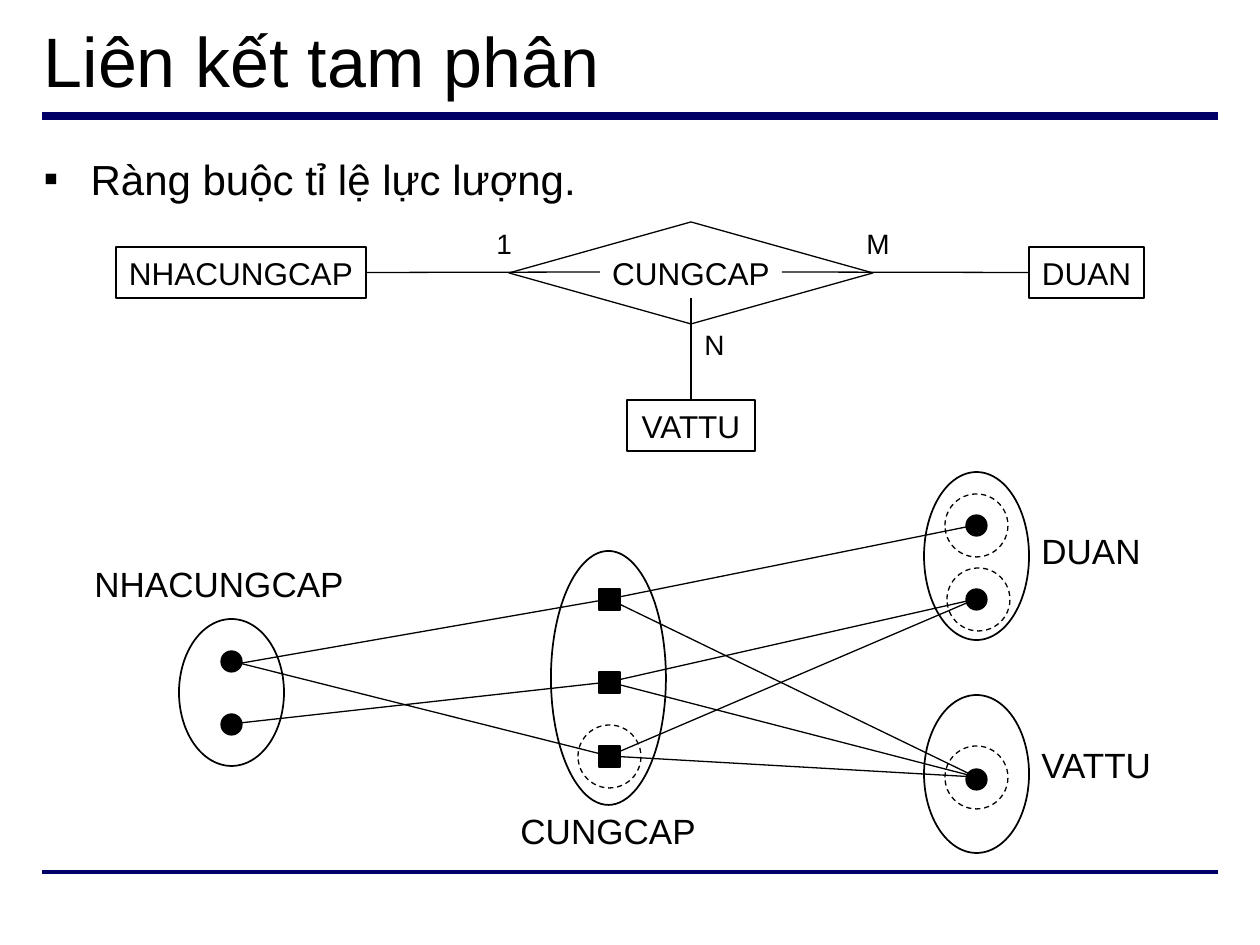
from typing import NamedTuple, Optional

import pptx
import pptx.dml.color
import pptx.enum.dml
import pptx.enum.shapes
import pptx.enum.text
import pptx.oxml
import pptx.oxml.ns
import pptx.util

EMU_PER_PX = 914400 / 126
FONT = "Arial"
BLACK, WHITE, NAVY = "000000", "FFFFFF", "000066"
SHAPE = pptx.enum.shapes.MSO_SHAPE
ALIGN = pptx.enum.text.PP_ALIGN
ANCHOR = pptx.enum.text.MSO_ANCHOR
FIT = pptx.enum.text.MSO_AUTO_SIZE


class Area(NamedTuple):
    left: int
    top: int
    width: int
    height: int


class Point(NamedTuple):
    x: int
    y: int


class Entity(NamedTuple):
    name: str
    area: Area
    line_start: Point
    side: int  # connection site of the box


class EntitySet(NamedTuple):
    name: str
    oval: Area
    label: Area
    marker: int
    members: list[Point]


def px(value: int) -> int:
    return round(value * EMU_PER_PX)


def color(value: str) -> pptx.dml.color.RGBColor:
    return pptx.dml.color.RGBColor.from_string(value)


def around(center: Point, size: int) -> Area:
    return Area(center.x - size // 2, center.y - size // 2, size, size)


def write(shape, text: str, size: int, align=ALIGN.LEFT, anchor=ANCHOR.TOP,
          wrap: bool = False, fit=FIT.NONE):
    frame = shape.text_frame
    frame.word_wrap = wrap
    frame.auto_size = fit
    frame.vertical_anchor = anchor
    para = frame.paragraphs[0]
    para.alignment = align
    para.space_before = pptx.util.Pt(0)
    span = para.add_run()
    span.text = text
    span.font.name = FONT
    span.font.size = pptx.util.Pt(size)
    span.font.color.rgb = color(BLACK)
    return para


def add_outline(page, kind: int, area: Area, fill: Optional[str] = None,
                weight: float = 0.75, dashed: bool = False):
    shape = page.shapes.add_shape(kind, *map(px, area))
    shape.shadow.inherit = False
    if fill:
        shape.fill.solid()
        shape.fill.fore_color.rgb = color(fill)
    else:
        shape.fill.background()
    shape.line.color.rgb = color(BLACK)
    shape.line.width = pptx.util.Pt(weight)
    if dashed:
        shape.line.dash_style = pptx.enum.dml.MSO_LINE.DASH
    return shape


def add_line(page, start: Point, end: Point, hue: str = BLACK, weight: float = 0.75):
    line = page.shapes.add_connector(
        pptx.enum.shapes.MSO_CONNECTOR.STRAIGHT, *map(px, (*start, *end)))
    line.line.color.rgb = color(hue)
    line.line.width = pptx.util.Pt(weight)
    properties = line._element.spPr
    properties.append(pptx.oxml.parse_xml(
        f'<a:effectLst {pptx.oxml.ns.nsdecls("a")}/>'))
    return line


def add_label(page, text: str, area: Area, size: int, **layout) -> None:
    box = page.shapes.add_textbox(*map(px, area))
    write(box, text, size, fit=FIT.SHAPE_TO_FIT_TEXT, **layout)


def place(shape, area: Area) -> None:
    shape.left, shape.top, shape.width, shape.height = map(px, area)


def add_bullet(para, indent: int) -> None:
    properties = para._p.get_or_add_pPr()
    properties.set("marL", str(px(indent)))
    properties.set("indent", str(-px(indent)))
    names = pptx.oxml.ns.nsdecls("a")
    for xml in (f'<a:buClr {names}><a:srgbClr val="{BLACK}"/></a:buClr>',
                f'<a:buFont {names} typeface="{FONT}"/>',
                f'<a:buChar {names} char="▪"/>'):
        properties.append(pptx.oxml.parse_xml(xml))


# Entities of the diagram, each joined to the relationship
ENTITIES = [
    Entity("NHACUNGCAP", Area(116, 247, 250, 51), Point(600, 272), 3),
    Entity("DUAN", Area(1029, 247, 115, 51), Point(782, 272), 1),
    Entity("VATTU", Area(627, 400, 128, 51), Point(691, 298), 0),
]
CARDINALITIES = [
    ("1", Area(484, 220, 40, 46)),
    ("M", Area(854, 220, 48, 46)),
    ("N", Area(692, 321, 45, 46)),
]

# Members of the entity sets and of the relationship set
SUPPLIERS = [Point(231, 661), Point(231, 724)]
SUPPLIES = [Point(609, 599), Point(609, 682), Point(609, 756)]
PROJECTS = [Point(976, 525), Point(976, 599)]
PART = Point(976, 779)
SETS = [
    EntitySet("NHACUNGCAP", Area(179, 619, 105, 147), Area(82, 556, 278, 55),
              SHAPE.OVAL, SUPPLIERS),
    EntitySet("VATTU", Area(924, 695, 105, 158), Area(1029, 737, 140, 55),
              SHAPE.OVAL, [PART]),
    EntitySet("DUAN", Area(924, 472, 105, 168), Area(1029, 523, 126, 55),
              SHAPE.OVAL, PROJECTS),
    EntitySet("CUNGCAP", Area(551, 551, 115, 254), Area(508, 803, 206, 55),
              SHAPE.RECTANGLE, SUPPLIES),
]
# Supplier and project of each supply; the part is always the same
SUPPLY_LINKS = [
    (Point(242, 663), PROJECTS[0]),
    (SUPPLIERS[1], PROJECTS[1]),
    (SUPPLIERS[0], PROJECTS[1]),
]
RINGS = [Point(976, 525), Point(978, 599), Point(976, 777), SUPPLIES[2]]


def main() -> None:
    deck = pptx.Presentation()
    deck.slide_width, deck.slide_height = px(1260), px(945)
    page = deck.slides.add_slide(deck.slide_layouts[1])

    # Rules, title and list
    for y, weight in ((116, 4.5), (872, 2.25)):
        add_line(page, Point(42, y), Point(1218, y), NAVY, weight)
    title, body = page.shapes.title, page.placeholders[1]
    place(title, Area(31, 11, 1197, 97))
    write(title, "Liên kết tam phân", 40, anchor=ANCHOR.MIDDLE, wrap=True)
    place(body, Area(31, 147, 1197, 698))
    add_bullet(write(body, "Ràng buộc tỉ lệ lực lượng.", 24, wrap=True), 47)

    # Entity-relationship diagram
    diamond = add_outline(page, SHAPE.DIAMOND, Area(509, 222, 364, 102), WHITE)
    write(diamond, "CUNGCAP", 18, ALIGN.CENTER, ANCHOR.MIDDLE)
    for entity in ENTITIES:
        box = add_outline(page, SHAPE.RECTANGLE, entity.area, WHITE)
        write(box, entity.name, 18, ALIGN.CENTER, ANCHOR.MIDDLE)
        line = add_line(page, entity.line_start, entity.line_start)
        line.end_connect(box, entity.side)
    for text, area in CARDINALITIES:
        add_label(page, text, area, 16, align=ALIGN.CENTER, anchor=ANCHOR.MIDDLE)

    # Sets with their members
    for group in SETS:
        add_outline(page, SHAPE.OVAL, group.oval, weight=1)
        add_label(page, group.name, group.label, 20)
        for member in group.members:
            add_outline(page, group.marker, around(member, 21), BLACK)

    # Links and dashed rings
    for supply, (supplier, project) in zip(SUPPLIES, SUPPLY_LINKS):
        for end in (supplier, project, Point(PART.x, 777)):
            add_line(page, supply, end)
    for center in RINGS:
        add_outline(page, SHAPE.OVAL, around(center, 63), dashed=True)

    deck.save("out.pptx")


if __name__ == "__main__":
    main()
